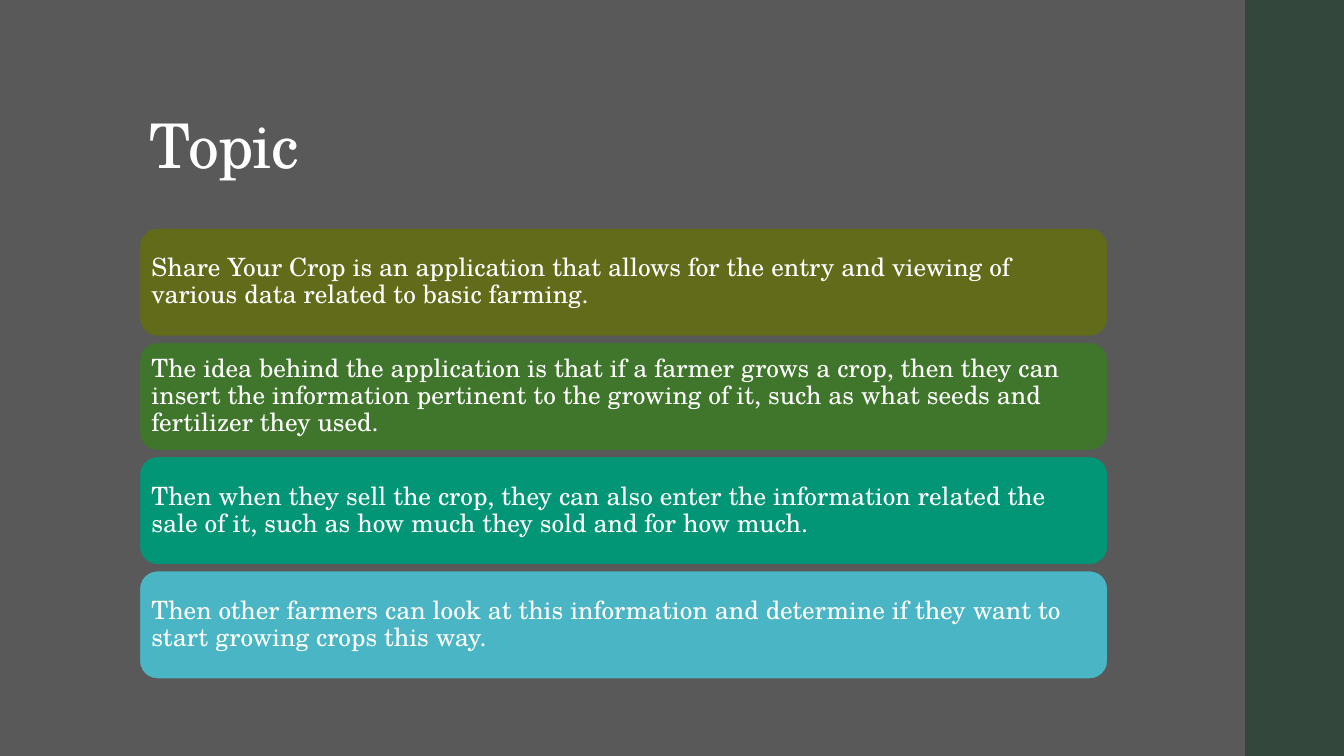
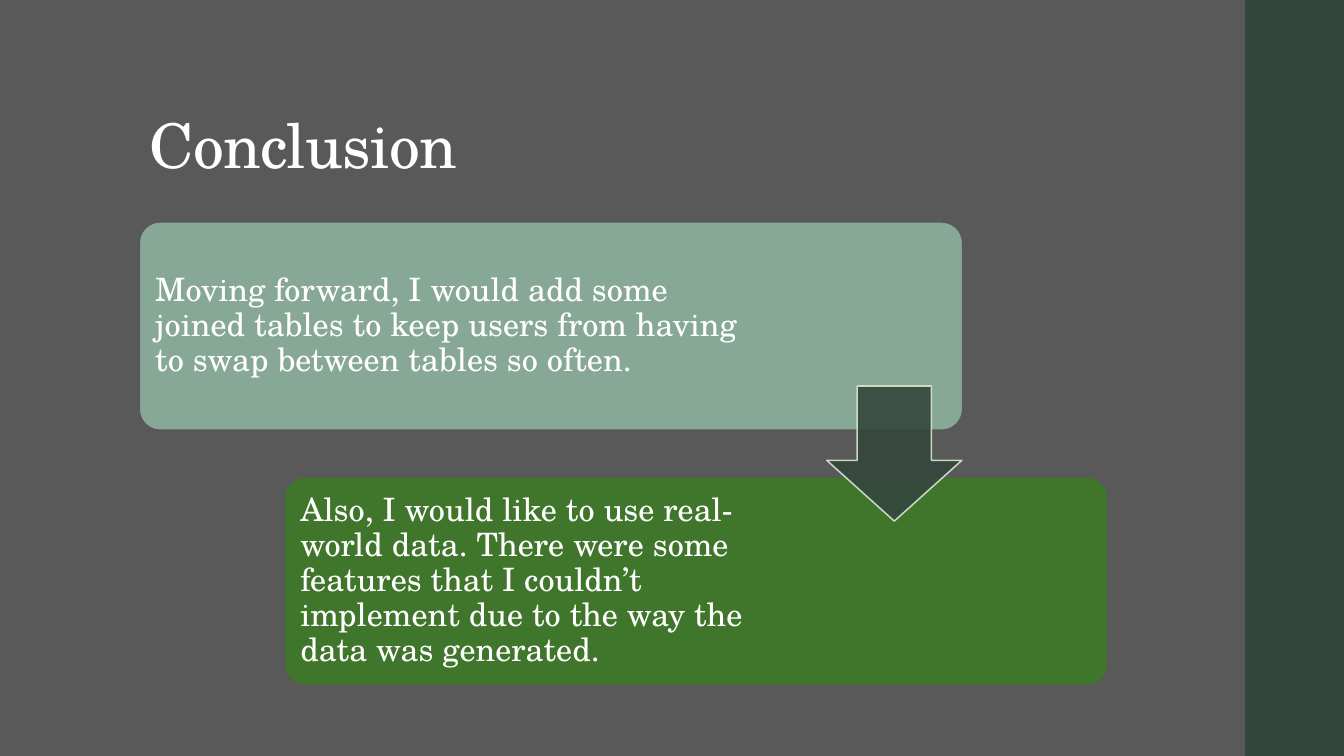
"""Build the topic and conclusion slides of the Share Your Crop deck."""
from dataclasses import dataclass

from lxml.etree import SubElement
from pptx import Presentation
from pptx.dml.color import RGBColor
from pptx.enum.shapes import MSO_SHAPE
from pptx.enum.text import MSO_ANCHOR, PP_ALIGN
from pptx.oxml.ns import qn
from pptx.util import Inches, Pt


@dataclass(frozen=True)
class Theme:
    font: str = "TeX Gyre Schola"
    background: str = "595959"
    band: str = "34473D"
    text: str = "FFFFFF"
    olive: str = "626B1A"
    green: str = "3F762B"
    teal: str = "029676"
    blue: str = "4AB5C4"
    sage: str = "87A896"
    arrow_edge: str = "DAE6CE"
    title_size: int = 44
    topic_size: int = 18
    conclusion_size: int = 23


theme = Theme()


def add_panel(slide, kind, box, fill, edge=None, edge_width=1.35):
    panel = slide.shapes.add_shape(kind, *[Inches(length) for length in box])
    panel.shadow.inherit = False
    panel.fill.solid()
    panel.fill.fore_color.rgb = RGBColor.from_string(fill)
    if edge:
        panel.line.color.rgb = RGBColor.from_string(edge)
        panel.line.width = Pt(edge_width)
    else:
        panel.line.fill.background()
    return panel


def write_text(shape, text, size):
    paragraph = shape.text_frame.paragraphs[0]
    paragraph.alignment = PP_ALIGN.LEFT
    paragraph.line_spacing = 0.9
    run = paragraph.add_run()
    run.text = text
    run.font.name = theme.font
    run.font.size = Pt(size)
    run.font.color.rgb = RGBColor.from_string(theme.text)
    return run


deck = Presentation()
deck.slide_width = Inches(13.33)
deck.slide_height = Inches(7.5)

layout = deck.slide_layouts.get_by_name("Title Only")
layout.background.fill.solid()
layout.background.fill.fore_color.rgb = RGBColor.from_string(theme.background)
heading = layout.placeholders[0]
heading.left, heading.top = Inches(1.38), Inches(0.4)
heading.width, heading.height = Inches(10.6), Inches(1.45)
heading.text_frame.vertical_anchor = MSO_ANCHOR.BOTTOM

topic, conclusion = [deck.slides.add_slide(layout) for _ in range(2)]
side_band = add_panel(topic, MSO_SHAPE.RECTANGLE, (12.35, 0, 1, 7.5), theme.band)
layout.shapes.element.append(side_band.element)

for slide, title in ((topic, "Topic"), (conclusion, "Conclusion")):
    title_run = write_text(slide.shapes.title, title, theme.title_size)
    title_run.font._element.set("spc", "-50")

topic_points = (
    (theme.olive, "Share Your Crop is an application that allows for the entry and "
     "viewing of various data related to basic farming."),
    (theme.green, "The idea behind the application is that if a farmer grows a crop, "
     "then they can insert the information pertinent to the growing of it, such as "
     "what seeds and fertilizer they used."),
    (theme.teal, "Then when they sell the crop, they can also enter the information "
     "related the sale of it, such as how much they sold and for how much."),
    (theme.blue, "Then other farmers can look at this information and determine if "
     "they want to start growing crops this way."),
)
conclusion_steps = (
    (theme.sage, 2.12, "Moving forward, I would add some joined tables to keep users "
     "from having to swap between tables so often."),
    (theme.green, 2.89, "Also, I would like to use real-world data. There were some "
     "features that I couldn’t implement due to the way the data was generated."),
)

cards = []
for row, (fill, text) in enumerate(topic_points):
    box = (1.38, 2.26 + row * 1.133, 9.61, 1.08)
    cards.append((topic, box, fill, text, theme.topic_size, 0.1667, 0.07, 0.07))
for step, (fill, right_inset, text) in enumerate(conclusion_steps):
    box = (1.38 + step * 1.44, 2.2 + step * 2.53, 8.17, 2.07)
    cards.append((conclusion, box, fill, text, theme.conclusion_size, 0.1, 0.1, right_inset))

for slide, box, fill, text, size, rounding, inset, right_inset in cards:
    card = add_panel(slide, MSO_SHAPE.ROUNDED_RECTANGLE, box, fill, theme.background)
    card.adjustments[0] = rounding
    frame = card.text_frame
    frame.word_wrap = True
    frame.vertical_anchor = MSO_ANCHOR.MIDDLE
    frame.margin_left = frame.margin_top = frame.margin_bottom = Inches(inset)
    frame.margin_right = Inches(right_inset)
    write_text(card, text, size)

next_arrow = add_panel(conclusion, MSO_SHAPE.DOWN_ARROW, (8.2, 3.83, 1.34, 1.34),
                       theme.band, theme.arrow_edge, 1.1)
next_arrow.adjustments[0] = 0.55
next_arrow.adjustments[1] = 0.45
for color in next_arrow.element.spPr.iter(qn("a:srgbClr")):
    SubElement(color, qn("a:alpha"), val="90000")

deck.save("out.pptx")
